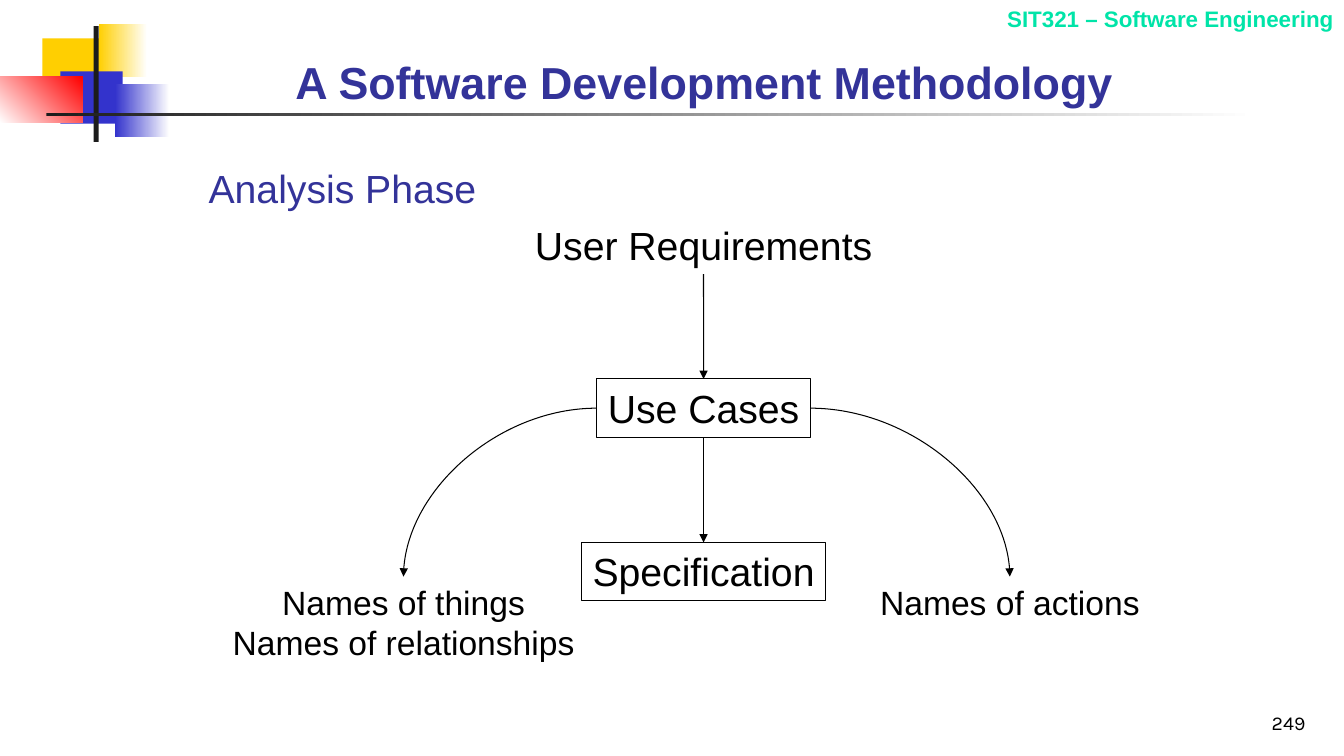
import pptx
import pptx.dml.color
import pptx.enum.shapes
import pptx.enum.text
import pptx.oxml
import pptx.oxml.ns
import pptx.util

Cm = pptx.util.Cm
Align = pptx.enum.text.PP_ALIGN
Anchor = pptx.enum.text.MSO_ANCHOR
Fit = pptx.enum.text.MSO_AUTO_SIZE
Link = pptx.enum.shapes.MSO_CONNECTOR

HUES = {
    "gold": "FFCF01", "blue": "3333CC", "red": "FF0000", "dark": "1C1C1C",
    "white": "FFFFFF", "black": "000000", "navy": "333399", "mint": "00E4A8",
}


class Deck:
    """Holds the style and the current slide, and draws each kind of element."""

    def __init__(self, prs):
        self.slide = prs.slides.add_slide(prs.slide_layouts[5])
        self.shapes = self.slide.shapes
        self.face = "Arial"

    def hue(self, name):
        return pptx.dml.color.RGBColor.from_string(HUES[name])

    def block(self, x, y, w, h, first, last=None, angle=0):
        box = self.shapes.add_shape(
            pptx.enum.shapes.MSO_SHAPE.RECTANGLE, Cm(x), Cm(y), Cm(w), Cm(h))
        box.shadow.inherit = False
        box.line.fill.background()
        if last is None:
            box.fill.solid()
            box.fill.fore_color.rgb = self.hue(first)
        else:
            box.fill.gradient()
            box.fill.gradient_angle = angle
            for stop, name in zip(box.fill.gradient_stops, (first, last)):
                stop.color.rgb = self.hue(name)

    def letter(self, box, text, size, hue, align, anchor=Anchor.TOP, bold=False, face=None):
        frame = box.text_frame
        frame.vertical_anchor = anchor
        para = frame.paragraphs[0]
        para.text = text
        para.alignment = align
        for run in para.runs:
            run.font.size = pptx.util.Pt(size)
            run.font.name = face or self.face
            run.font.bold = bold
            run.font.color.rgb = self.hue(hue)

    def title(self, x, y, w, h, text):
        box = self.shapes.title
        box.left, box.top, box.width, box.height = Cm(x), Cm(y), Cm(w), Cm(h)
        box.text_frame.auto_size = Fit.NONE
        self.letter(box, text, 32, "navy", Align.LEFT, Anchor.BOTTOM, True)

    def note(self, x, y, w, h, text, size, hue, anchor=Anchor.TOP, bold=False, face=None):
        box = self.shapes.add_textbox(Cm(x), Cm(y), Cm(w), Cm(h))
        box.text_frame.word_wrap = True
        self.letter(box, text, size, hue, Align.RIGHT, anchor, bold, face)

    def label(self, mid, y, w, h, text, size=28, hue="black", frame=False):
        box = self.shapes.add_textbox(Cm(mid - w / 2), Cm(y), Cm(w), Cm(h))
        box.text_frame.word_wrap = False
        box.text_frame.auto_size = Fit.SHAPE_TO_FIT_TEXT
        self.letter(box, text, size, hue, Align.CENTER)
        if frame:
            box.line.color.rgb = self.hue("black")
            box.line.width = pptx.util.Pt(0.75)
        return box

    def arrow(self, start, side, end, curved=False):
        kind = Link.CURVE if curved else Link.STRAIGHT
        line = self.shapes.add_connector(kind, 0, 0, 0, 0)
        line.begin_connect(start, side)
        line.end_connect(end, 0)
        line.line.color.rgb = self.hue("black")
        line.line.width = pptx.util.Pt(0.75)
        props = line._element.spPr
        if curved:
            props.find(pptx.oxml.ns.qn("a:prstGeom")).set("prst", "curvedConnector2")
        space = pptx.oxml.ns.nsdecls("a")
        head = pptx.oxml.parse_xml(f'<a:tailEnd {space} type="triangle"/>')
        props.find(pptx.oxml.ns.qn("a:ln")).append(head)
        props.append(pptx.oxml.parse_xml(f"<a:effectLst {space}/>"))


def main():
    prs = pptx.Presentation()
    prs.slide_width, prs.slide_height = Cm(33.87), Cm(19.05)
    deck = Deck(prs)

    deck.block(1.07, 0.97, 1.63, 1.32, "gold")
    deck.block(2.49, 0.61, 1.22, 1.32, "gold", "white")
    deck.block(1.52, 1.8, 1.57, 1.32, "blue")
    deck.block(2.9, 2.13, 1.37, 1.32, "blue", "white")
    deck.block(0, 1.93, 2.08, 1.17, "white", "red", 45)
    deck.block(2.36, 0.66, 0.13, 2.92, "dark")
    deck.block(1.17, 2.84, 30.48, 0.08, "dark", "white")

    deck.note(20.4, 0, 13.46, 0.94, "SIT321 – Software Engineering", 16, "mint", bold=True)
    deck.note(26.09, 17.35, 7.06, 1.27, "249", 14, "black", Anchor.BOTTOM, face="Karla")
    deck.title(7.19, 1.04, 21.79, 1.83, "A Software Development Methodology")

    mid = 17.73
    deck.label(8.63, 4.01, 7.26, 1.45, "Analysis Phase", hue="navy")
    needs = deck.label(mid, 5.46, 9.04, 1.45, "User Requirements")
    cases = deck.label(mid, 9.55, 5.38, 1.47, "Use Cases", frame=True)
    detail = deck.label(mid, 13.67, 6.15, 1.47, "Specification", frame=True)
    things = deck.label(10.17, 14.53, 9.22, 2.31, "Names of things\nNames of relationships", 24)
    acts = deck.label(25.45, 14.53, 7.06, 1.27, "Names of actions", 24)

    deck.arrow(needs, 2, cases)
    deck.arrow(cases, 2, detail)
    deck.arrow(cases, 1, things, True)
    deck.arrow(cases, 3, acts, True)

    prs.save("out.pptx")


if __name__ == "__main__":
    main()
